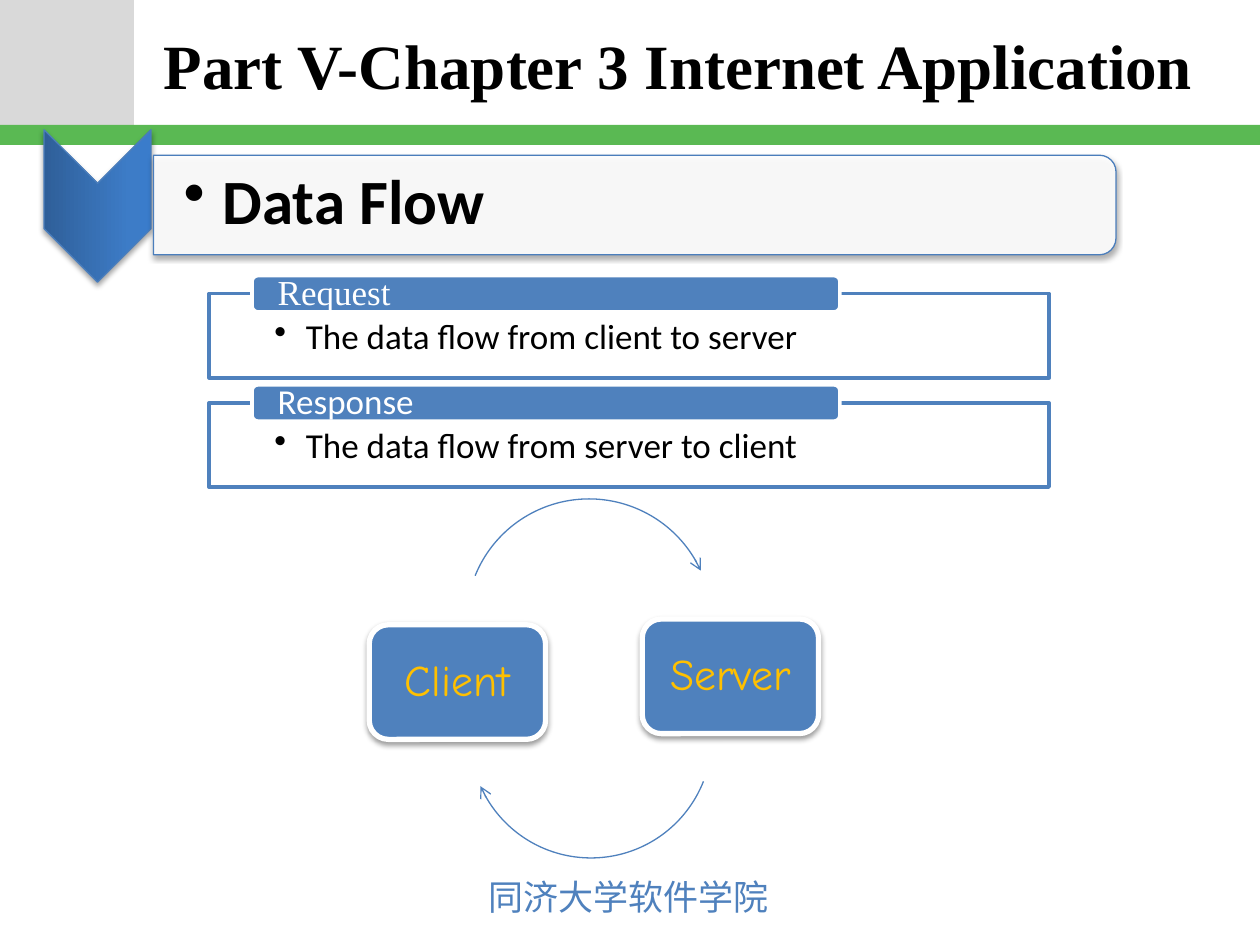
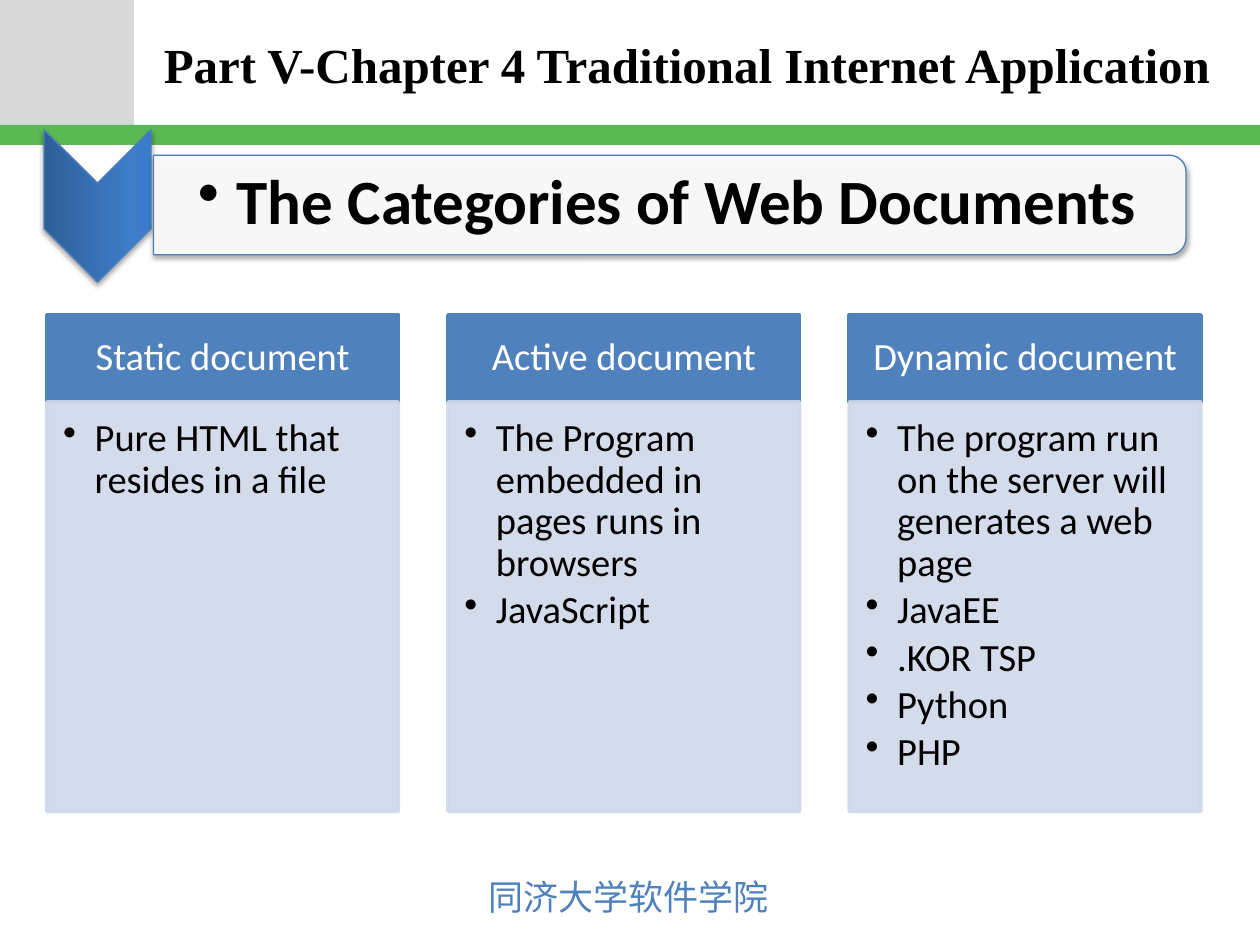
from copy import deepcopy

from lxml.etree import SubElement
from pptx import Presentation
from pptx.dml.color import RGBColor
from pptx.enum.shapes import MSO_SHAPE
from pptx.enum.text import MSO_ANCHOR, MSO_AUTO_SIZE, PP_ALIGN
from pptx.oxml.ns import qn
from pptx.util import Pt

BLUE, EDGE, PALE = "4F81BD", "4B7EBC", "D0D8E8"
WHITE, BLACK, GOLD = "FFFFFF", "000000", "FFC000"
GREY, GREEN = "D9D9D9", "5AB953"
WIDE, HIGH = 720, 540
LEFT, MID = PP_ALIGN.LEFT, PP_ALIGN.CENTER
hue = RGBColor.from_string


def draw(slide, kind, at, fill=None, line=None, weight=0.75, clear=(),
         shade=None, turn=0):
    """Add a shape; clear names the parts ("fill", "line") at 90% opacity,
    and shade gives the opacity of its shadow in percent."""
    shape = slide.shapes.add_shape(kind, *map(Pt, at))
    shape.rotation = turn
    shape.shadow.inherit = False
    if fill:
        shape.fill.solid()
        shape.fill.fore_color.rgb = hue(fill)
    else:
        shape.fill.background()
    if line:
        shape.line.color.rgb = hue(line)
        shape.line.width = Pt(weight)
    else:
        shape.line.fill.background()
    props = shape.element.spPr
    paths = {"fill": "a:solidFill", "line": "a:ln"}
    for part in clear:
        tint = next(props.find(qn(paths[part])).iter(qn("a:srgbClr")))
        SubElement(tint, qn("a:alpha"), val="90000")
    if shade:
        cast = SubElement(props.find(qn("a:effectLst")), qn("a:outerShdw"),
                          blurRad=str(Pt(3.1)), dist=str(Pt(1.8)),
                          dir="5400000", rotWithShape="0")
        tint = SubElement(cast, qn("a:srgbClr"), val=BLACK)
        SubElement(tint, qn("a:alpha"), val=str(shade * 1000))
    return shape


def write(shape, *lines, size=20, color=BLACK, face="Calibri", bold=False,
          align=LEFT, anchor=MSO_ANCHOR.MIDDLE, pad=(7.2, 3.6, 7.2, 3.6),
          space=0.9, hang=0, dent=0, wrap=True):
    """Fill a shape with lines; dent is the text indent of a bulleted line
    and hang is how far its bullet stands out to the left."""
    frame = shape.text_frame
    frame.auto_size = MSO_AUTO_SIZE.NONE
    frame.word_wrap = wrap
    frame.vertical_anchor = anchor
    (frame.margin_left, frame.margin_top,
     frame.margin_right, frame.margin_bottom) = map(Pt, pad)
    for i, text in enumerate(lines):
        para = frame.add_paragraph() if i else frame.paragraphs[0]
        run = para.add_run()
        run.text = text
        para.alignment = align
        para.line_spacing = space
        para.space_before = Pt(0)
        if hang:
            para.space_after = Pt(round(size * 0.15, 1))
            props = para._p.get_or_add_pPr()
            props.set("marL", str(Pt(dent or hang)))
            props.set("indent", str(-Pt(hang)))
            SubElement(props, qn("a:buChar"), char="•")
        font = run.font
        font.name, font.size, font.bold = face, Pt(size), bold
        font.color.rgb = hue(color)
        SubElement(run._r.rPr, qn("a:ea"), typeface=face)


deck = Presentation()
deck.slide_width, deck.slide_height = Pt(WIDE), Pt(HIGH)

# Frame that both slides share: title, size, heading, panel width, text indent
heads = [
    ("Part V-Chapter 3 Internet Application", 36, "Data Flow", 550, 22.3),
    ("Part V-Chapter 4 Traditional Internet Application", 28,
     "The Categories of Web Documents", 590, 30.4),
]
slides = []
for name, size, head, width, dent in heads:
    slide = deck.slides.add_slide(deck.slide_layouts[5])
    slides.append(slide)
    draw(slide, MSO_SHAPE.RECTANGLE, (0, 0, 76.5, 71.4), GREY)
    draw(slide, MSO_SHAPE.RECTANGLE, (0, 71.4, WIDE, 11.5), GREEN)
    foot = slide.shapes.add_textbox(Pt(272), Pt(497), Pt(176), Pt(31.7))
    write(foot, "同济大学软件学院", color=BLUE, face="Noto Sans CJK JP",
          anchor=MSO_ANCHOR.TOP, space=1, wrap=False)

    title = slide.shapes.title
    title.left, title.top = Pt(86.4), Pt(1.4)
    title.width, title.height = Pt(619), Pt(70.6)
    write(title, name, size=size, face="Times New Roman", bold=True, space=1)

    mark = draw(slide, MSO_SHAPE.CHEVRON, (12.2, 87.1, 87.1, 61.2), BLUE,
                EDGE, shade=35, turn=90)
    mark.fill.gradient()
    mark.fill.gradient_angle = 90
    stops = mark.element.spPr.find(".//" + qn("a:gsLst"))
    stops.append(deepcopy(stops[-1]))
    tints = [(0, "2F5F99"), (0.8, "3D7CC7"), (1, "3A7CCB")]
    for stop, (place, tint) in zip(mark.fill.gradient_stops, tints):
        stop.position = place
        stop.color.rgb = hue(tint)

    # The panel is a tall shape turned on its side
    left, top, tall = 87.7, 88.7, 56.9
    draw(slide, MSO_SHAPE.ROUND_2_SAME_RECTANGLE,
         (left + (width - tall) / 2, top + (tall - width) / 2, tall, width),
         WHITE, EDGE, clear=["fill"], shade=35, turn=90)
    label = slide.shapes.add_textbox(Pt(87), Pt(91), Pt(width - 3), Pt(51.1))
    write(label, head, size=36, bold=True, hang=22.3, dent=dent,
          pad=(18, 1.4, 1.4, 1.4))

flow, kinds = slides

# Slide 1: the two directions of the data flow
ways = [
    ("Request", "Times New Roman", "The data flow from client to server"),
    ("Response", "Calibri", "The data flow from server to client"),
]
for i, (name, face, text) in enumerate(ways):
    top = 167.8 + 62.4 * i
    body = draw(flow, MSO_SHAPE.RECTANGLE, (119.5, top, 480, 48.2), WHITE,
                BLUE, 2, clear=["fill"])
    write(body, text, anchor=MSO_ANCHOR.TOP, hang=18,
          pad=(37.3, 14.6, 37.3, 11.5))
    tab = draw(flow, MSO_SHAPE.ROUNDED_RECTANGLE,
               (144, top - 10.3, 336, 20.8), BLUE, WHITE, 2)
    write(tab, name, color=WHITE, face=face, pad=(13.7, 0, 13.7, 0))

for name, left, top in [("Client", 211, 357), ("Server", 367, 353.7)]:
    node = draw(flow, MSO_SHAPE.ROUNDED_RECTANGLE, (left, top, 100.8, 65.5),
                BLUE, WHITE, 3, shade=38)
    write(node, name, size=25, color=GOLD, face="Comic Neue", align=MID,
          pad=(10, 10, 10, 10))

arcs = [(266.4, 285.1, 140.4, 202, 335.4), (268.6, 352.1, 138.2, 21.5, 156)]
for left, top, side, start, end in arcs:
    arc = draw(flow, MSO_SHAPE.ARC, (left, top, side, side), line=BLUE)
    # Angles are stored in 60000ths of a degree, adjustments in 100000ths
    arc.adjustments[0], arc.adjustments[1] = start * 0.6, end * 0.6
    SubElement(arc.element.spPr.find(qn("a:ln")), qn("a:tailEnd"),
               type="arrow")

# Slide 2: one column for each kind of document
cols = [
    ("Static document", ["Pure HTML that resides in a file"]),
    ("Active document",
     ["The Program embedded in pages runs in browsers", "JavaScript"]),
    ("Dynamic document",
     ["The program run on the server will generates a web page",
      "JavaEE", ".KOR TSP", "Python", "PHP"]),
]
for i, (name, items) in enumerate(cols):
    left = 26.7 + 229.3 * i
    top = draw(kinds, MSO_SHAPE.RECTANGLE, (left, 180, 201, 49.7), BLUE,
               BLUE, 2)
    write(top, name, size=22, color=WHITE, align=MID,
          pad=(12.2, 7.2, 12.2, 7.2))
    body = draw(kinds, MSO_SHAPE.RECTANGLE, (left, 229.7, 201, 234), PALE,
                PALE, 2, clear=["fill", "line"])
    write(body, *items, size=22, anchor=MSO_ANCHOR.TOP, hang=18,
          pad=(9.4, 9.4, 12.2, 13.7))

deck.save("out.pptx")
